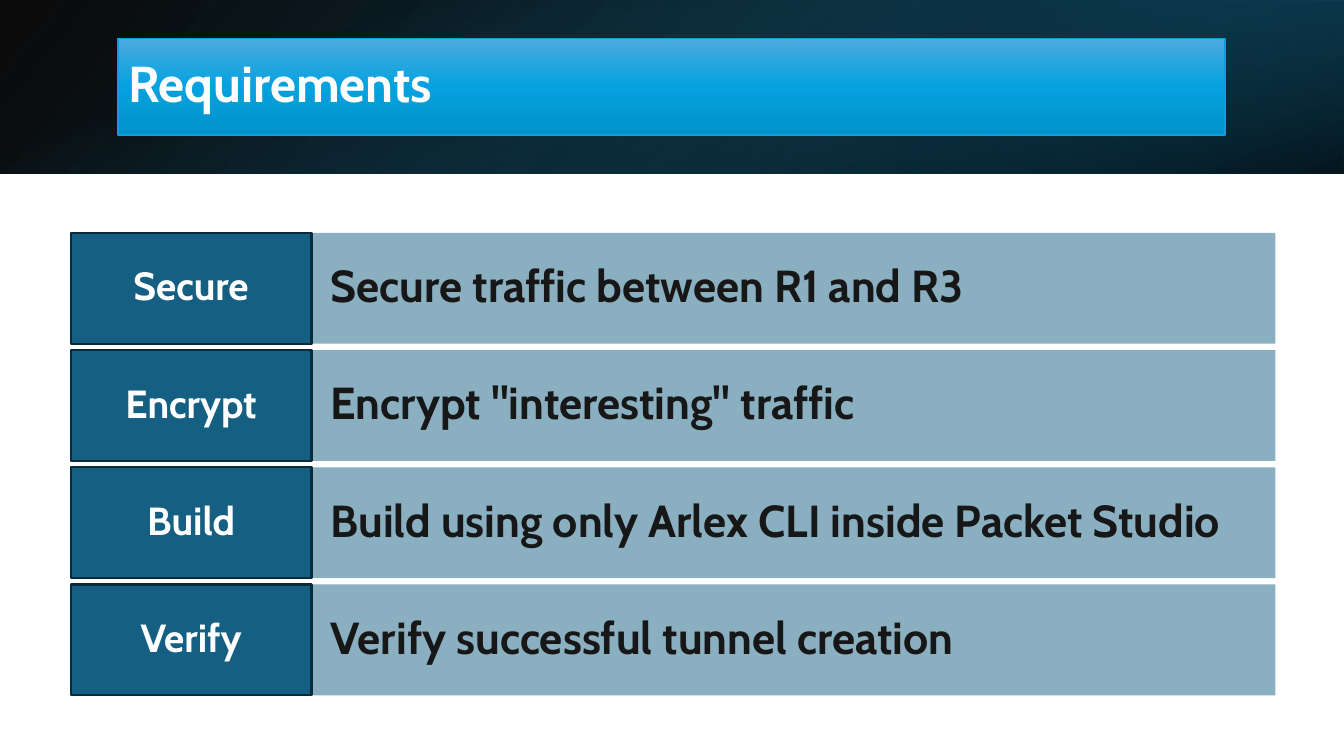
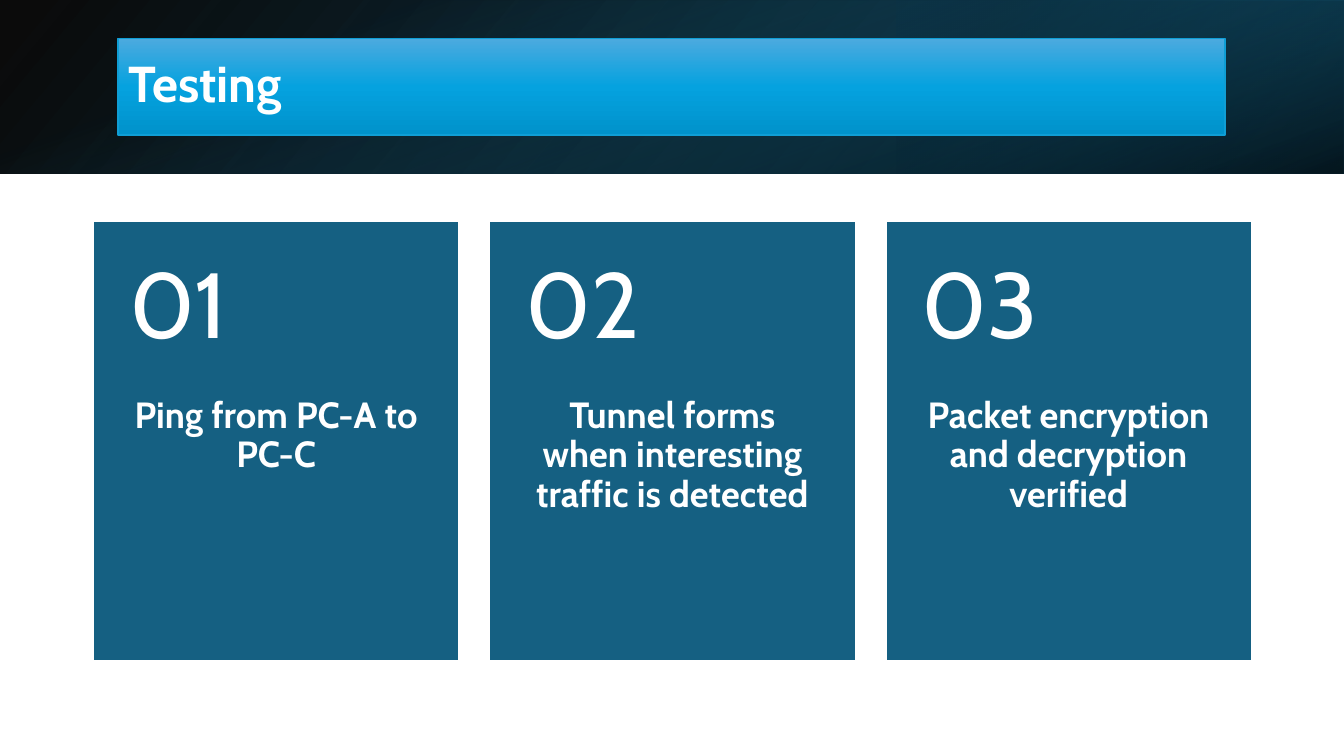
from dataclasses import dataclass

from lxml import etree
from pptx import Presentation
from pptx import util as u
from pptx.dml.color import RGBColor
from pptx.enum import shapes, text
from pptx.oxml.ns import qn


@dataclass(frozen=True)
class Theme:
    font: str = "Cabin"
    white: str = "FFFFFF"
    ink: str = "171717"
    black: str = "000000"
    teal: str = "156082"
    deep_teal: str = "104862"
    dark_teal: str = "0B3041"
    label_edge: str = "092A39"
    title_edge: str = "0F9ED5"
    title_stops: tuple = ((0, "4CAADF", 100), (50, "05A2DF", 100), (100, "0092CB", 100))
    title_size: int = 36
    row_size: int = 32
    label_size: int = 28
    card_size: int = 26
    number_size: int = 66


theme = Theme()
RECTANGLE = shapes.MSO_SHAPE.RECTANGLE
LEFT, CENTER = text.PP_ALIGN.LEFT, text.PP_ALIGN.CENTER
TOP, MIDDLE = text.MSO_ANCHOR.TOP, text.MSO_ANCHOR.MIDDLE


def paint_gradient(shape, stops, angle):
    """Fill a shape with (position, colour, opacity) stops in percent."""
    shape.fill.background()
    empty = shape._element.spPr.find(qn("a:noFill"))
    gradient = etree.Element(qn("a:gradFill"), rotWithShape="1")
    stop_list = etree.SubElement(gradient, qn("a:gsLst"))
    for position, colour, opacity in stops:
        stop = etree.SubElement(stop_list, qn("a:gs"), pos=str(position * 1000))
        tint = etree.SubElement(stop, qn("a:srgbClr"), val=colour)
        etree.SubElement(tint, qn("a:alpha"), val=str(opacity * 1000))
    etree.SubElement(gradient, qn("a:lin"), ang=str(angle * 60000), scaled="0")
    empty.getparent().replace(empty, gradient)


def write(box, words, size, colour, bold=True, align=LEFT, anchor=MIDDLE,
          insets=(0.1, 0.05, 0.1, 0.05)):
    """Put one formatted paragraph in a shape."""
    frame = box.text_frame
    frame.text = words
    frame.word_wrap = True
    frame.auto_size = text.MSO_AUTO_SIZE.NONE
    frame.vertical_anchor = anchor
    (frame.margin_left, frame.margin_top,
     frame.margin_right, frame.margin_bottom) = map(u.Inches, insets)
    para = frame.paragraphs[0]
    para.alignment = align
    para.line_spacing = 0.9
    span = para.runs[0]
    span.font.name = theme.font
    span.font.size = u.Pt(size)
    span.font.bold = bold
    span.font.color.rgb = RGBColor.from_string(colour)


deck = Presentation()
deck.slide_width, deck.slide_height = u.Inches(13.33), u.Inches(7.5)
layout = deck.slide_layouts[5]

# Pages with their title bars
pages = []
for heading in ("Requirements", "Testing"):
    page = deck.slides.add_slide(layout)
    title = page.shapes.title
    title.left, title.top = u.Inches(1.17), u.Inches(0.38)
    title.width, title.height = u.Inches(10.98), u.Inches(0.96)
    paint_gradient(title, theme.title_stops, 90)
    title.line.color.rgb = RGBColor.from_string(theme.title_edge)
    title.line.width = u.Pt(1)
    write(title, heading, theme.title_size, theme.white)
    pages.append(page)
requirements, testing = pages

# Dark header band, moved to the layout so that both pages share it
band_layers = (
    ((0, 0, 13.33, 1.72), 0, True, 140,
     ((0, theme.black, 96), (100, theme.deep_teal, 100))),
    ((8.89, 0, 4.44, 1.72), 180, True, 320,
     ((19, theme.dark_teal, 68), (100, theme.teal, 79))),
    ((5.8, -5.8, 1.72, 13.33), 90, False, 340,
     ((23, theme.teal, 0), (99, theme.black, 74))),
)
for index, (place, rotation, flipped, angle, stops) in enumerate(band_layers):
    layer = requirements.shapes.add_shape(RECTANGLE, *map(u.Inches, place))
    layer.shadow.inherit = False
    layer.line.fill.background()
    layer.rotation = rotation
    if flipped:
        layer._element.spPr.find(qn("a:xfrm")).set("flipH", "1")
    paint_gradient(layer, stops, angle)
    layer._element.nvSpPr.cNvPr.set("id", str(101 + index))
    layout.shapes.element.insert(2 + index, layer._element)

# Requirements: a label and a sentence in each row
rows = (
    ("Secure", "Secure traffic between R1 and R3"),
    ("Encrypt", 'Encrypt "interesting" traffic'),
    ("Build", "Build using only Arlex CLI inside Packet Studio"),
    ("Verify", "Verify successful tunnel creation"),
)
row_left, row_top, row_height, row_pitch = 0.7, 2.31, 1.1, 1.163
label_width, sentence_width = 2.39, 9.56
for index, (label, sentence) in enumerate(rows):
    top = u.Inches(row_top + index * row_pitch)
    bar = requirements.shapes.add_shape(
        RECTANGLE, u.Inches(row_left + label_width), top,
        u.Inches(sentence_width), u.Inches(row_height))
    tag = requirements.shapes.add_shape(
        RECTANGLE, u.Inches(row_left), top,
        u.Inches(label_width), u.Inches(row_height))
    for box in (bar, tag):
        box.shadow.inherit = False
        box.fill.solid()
        box.fill.fore_color.rgb = RGBColor.from_string(theme.teal)
    tint = bar._element.spPr.find(qn("a:solidFill")).find(qn("a:srgbClr"))
    etree.SubElement(tint, qn("a:alpha"), val="50000")
    bar.line.fill.background()
    tag.line.color.rgb = RGBColor.from_string(theme.label_edge)
    tag.line.width = u.Pt(1.5)
    write(bar, sentence, theme.row_size, theme.ink, insets=(0.19, 0.28, 0.19, 0.28))
    write(tag, label, theme.label_size, theme.white, align=CENTER,
          insets=(0.13, 0.11, 0.13, 0.11))

# Testing: numbered cards
steps = (
    "Ping from PC-A to PC-C",
    "Tunnel forms when interesting traffic is detected",
    "Packet encryption and decryption verified",
)
card_left, card_top, card_pitch = 0.92, 2.19, 3.93
card_width, number_height, step_height = 3.64, 1.75, 2.62
for index, step in enumerate(steps):
    left, width = u.Inches(card_left + index * card_pitch), u.Inches(card_width)
    group = testing.shapes.add_group_shape()
    card = group.shapes.add_shape(RECTANGLE, left, u.Inches(card_top), width,
                                  u.Inches(number_height + step_height))
    card.shadow.inherit = False
    card.fill.solid()
    card.fill.fore_color.rgb = RGBColor.from_string(theme.teal)
    card.line.color.rgb = RGBColor.from_string(theme.white)
    card.line.width = u.Pt(2)
    body = group.shapes.add_textbox(left, u.Inches(card_top + number_height),
                                    width, u.Inches(step_height))
    write(body, step, theme.card_size, theme.white, align=CENTER, anchor=TOP,
          insets=(0.36, 0, 0.36, 0.36))
    number = group.shapes.add_textbox(left, u.Inches(card_top), width,
                                      u.Inches(number_height))
    write(number, f"{index + 1:02}", theme.number_size, theme.white, bold=False,
          insets=(0.36, 0.18, 0.36, 0.18))

deck.save("out.pptx")
